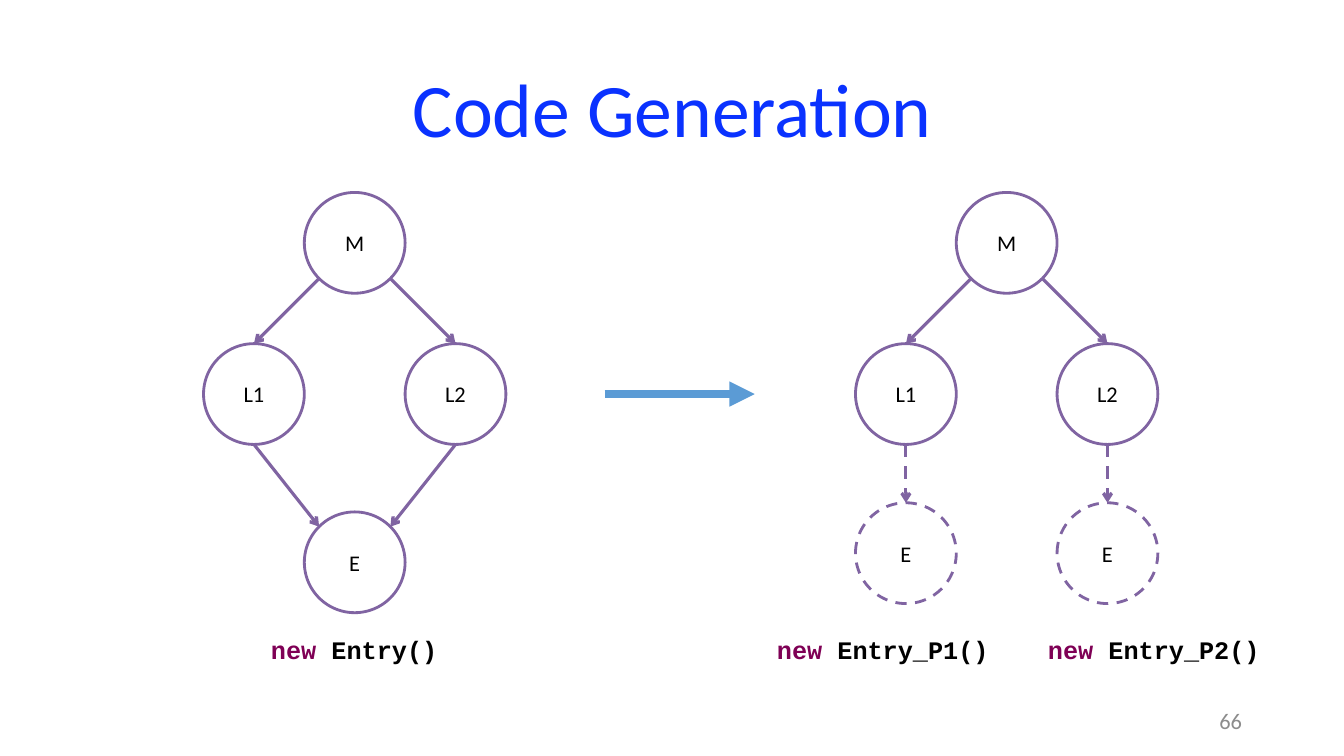
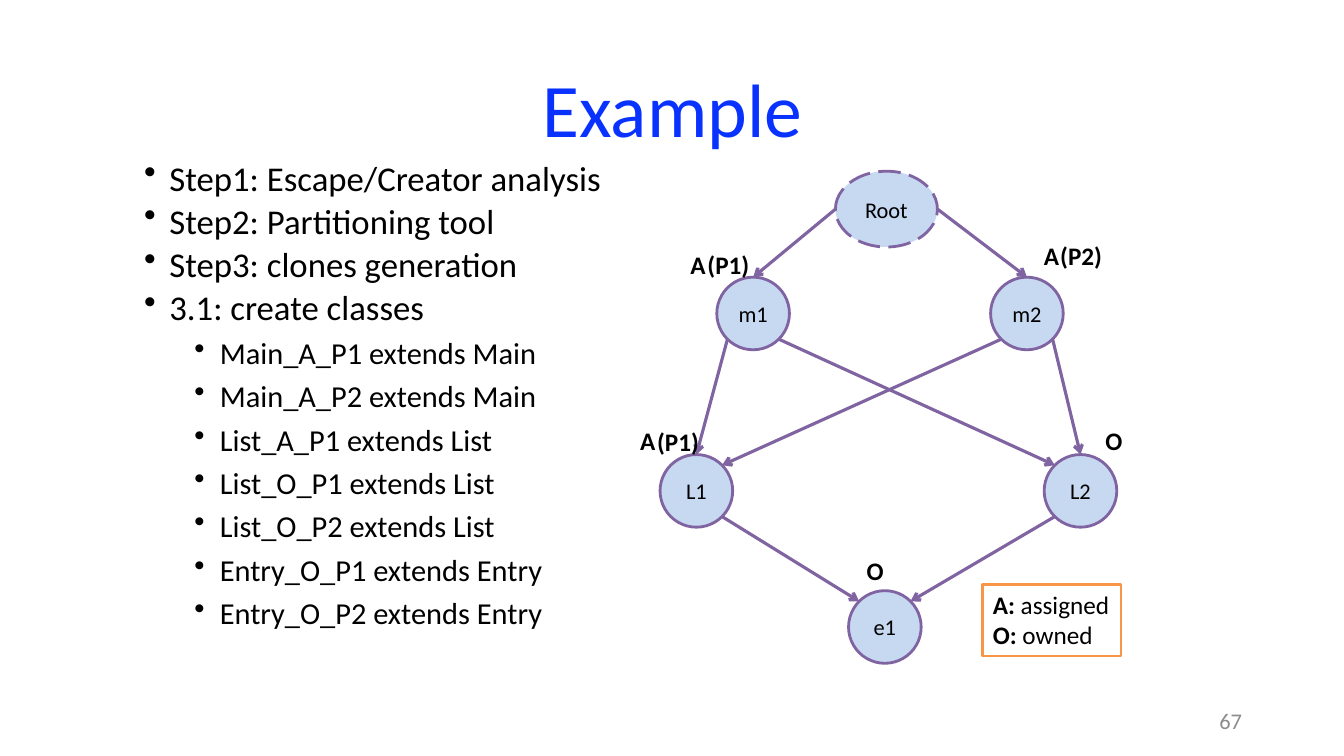
"""Build two slides on code generation and class cloning for a partitioned program."""
from dataclasses import dataclass
from math import cos, radians, sin

from lxml import etree
from pptx import Presentation
from pptx.dml.color import RGBColor
from pptx.enum.dml import MSO_LINE
from pptx.enum.shapes import MSO_CONNECTOR, MSO_SHAPE
from pptx.enum.text import MSO_ANCHOR, PP_ALIGN
from pptx.oxml.ns import qn
from pptx.util import Cm, Pt

OVAL, RECTANGLE = MSO_SHAPE.OVAL, MSO_SHAPE.RECTANGLE
STRAIGHT = MSO_CONNECTOR.STRAIGHT
DASH, LONG_DASH = MSO_LINE.DASH, MSO_LINE.LONG_DASH
LEFT, CENTER, RIGHT = PP_ALIGN.LEFT, PP_ALIGN.CENTER, PP_ALIGN.RIGHT
TOP, MIDDLE = MSO_ANCHOR.TOP, MSO_ANCHOR.MIDDLE


@dataclass(frozen=True)
class Theme:
    font: str = "Calibri"
    code_font: str = "Courier New"
    title: str = "0A32FF"
    text: str = "000000"
    number: str = "8C8C8C"
    keyword: str = "7F0055"
    graph: str = "8064A2"
    step: str = "5B9BD5"
    legend: str = "F79646"
    white: str = "FFFFFF"
    node: str = "C6D9F1"
    title_size: float = 54
    body_size: float = 24.8
    sub_size: float = 21.7
    label_size: float = 18
    small_size: float = 16
    outline: float = 2
    arrow: float = 2.25
    step_arrow: float = 6


theme = Theme()


def add_text(slide, text, box, *, size=theme.label_size, color=theme.text, font=theme.font,
             bold=False, align=LEFT, anchor=TOP, wrap=True, kind=None, fill=theme.white,
             outline=theme.graph, dash=None):
    left, top, width, height = (Cm(length) for length in box)
    if kind is None:
        shape = slide.shapes.add_textbox(left, top, width, height)
    else:
        shape = slide.shapes.add_shape(kind, left, top, width, height)
        shape.shadow.inherit = False
        shape.fill.solid()
        shape.fill.fore_color.rgb = RGBColor.from_string(fill)
        shape.line.color.rgb = RGBColor.from_string(outline)
        shape.line.width = Pt(theme.outline)
        if dash:
            shape.line.dash_style = dash
    frame = shape.text_frame
    frame.word_wrap = wrap
    frame.vertical_anchor = anchor
    lines = [[(text, {})]] if isinstance(text, str) else text
    for index, runs in enumerate(lines):
        paragraph = frame.add_paragraph() if index else frame.paragraphs[0]
        paragraph.alignment = align
        for words, changes in runs:
            run = paragraph.add_run()
            run.text = words
            run.font.name = font
            run.font.size = Pt(changes.get("size", size))
            run.font.bold = changes.get("bold", bold)
            run.font.color.rgb = RGBColor.from_string(changes.get("color", color))
    return shape


def add_arrow(slide, start, end, color=theme.graph, width=theme.arrow, dash=None, head="arrow"):
    connector = slide.shapes.add_connector(STRAIGHT, *(Cm(value) for value in (*start, *end)))
    connector.line.color.rgb = RGBColor.from_string(color)
    connector.line.width = Pt(width)
    if dash:
        connector.line.dash_style = dash
    properties = connector.element.spPr
    etree.SubElement(properties.find(qn("a:ln")), qn("a:tailEnd"), type=head)
    etree.SubElement(properties, qn("a:effectLst"))
    return connector


presentation = Presentation()
presentation.slide_width, presentation.slide_height = Cm(33.87), Cm(19.05)
blank = presentation.slide_layouts[6]

slides = []
for title, number in (("Code Generation", "66"), ("Example", "67")):
    slide = presentation.slides.add_slide(blank)
    heading = add_text(slide, title, (2.34, 1.02, 29.21, 3.68), size=theme.title_size,
                       color=theme.title, align=CENTER, anchor=MIDDLE)
    heading.text_frame.paragraphs[0].line_spacing = 0.9
    add_text(slide, number, (23.93, 17.65, 7.62, 1.02), size=theme.small_size,
             color=theme.number, align=RIGHT, anchor=MIDDLE)
    slides.append(slide)
generation, example = slides

# Nodes: name, label, centre x, centre y, width, height, dash. Links: node and site at each end.
big, small, middle, right = 2.54, 1.83, 8.94, 25.37
graphs = (
    (generation, theme.white,
     (("M", "M", middle, 6.12, big, big, None),
      ("L1", "L1", middle - big, 9.93, big, big, None),
      ("L2", "L2", middle + big, 9.93, big, big, None),
      ("E", "E", middle, 14.17, big, big, None)),
     (("M", 3, "L1", 0, None), ("M", 5, "L2", 0, None),
      ("L1", 4, "E", 1, None), ("L2", 4, "E", 7, None))),
    (generation, theme.white,
     (("M", "M", right, 6.12, big, big, None),
      ("L1", "L1", right - big, 9.93, big, big, None),
      ("L2", "L2", right + big, 9.93, big, big, None),
      ("E1", "E", right - big, 13.94, big, big, DASH),
      ("E2", "E", right + big, 13.94, big, big, DASH)),
     (("M", 3, "L1", 0, None), ("M", 5, "L2", 0, None),
      ("L1", 4, "E1", 0, DASH), ("L2", 4, "E2", 0, DASH))),
    (example, theme.node,
     (("Root", "Root", 22.34, 5.27, 2.57, 1.91, LONG_DASH),
      ("m1", "m1", 18.98, 7.9, small, small, None),
      ("m2", "m2", 25.88, 7.9, small, small, None),
      ("L1", "L1", 17.55, 12.37, small, small, None),
      ("L2", "L2", 27.23, 12.37, small, small, None),
      ("e1", "e1", 22.3, 15.8, small, small, None)),
     (("Root", 2, "m1", 0, None), ("Root", 6, "m2", 0, None),
      ("m1", 3, "L1", 0, None), ("m1", 5, "L2", 1, None),
      ("m2", 3, "L1", 7, None), ("m2", 5, "L2", 0, None),
      ("L1", 5, "e1", 1, None), ("L2", 3, "e1", 7, None))),
)
for slide, fill, nodes, links in graphs:
    ovals, sites = {}, {}
    for name, label, x, y, width, height, dash in nodes:
        ovals[name] = add_text(slide, label, (x - width / 2, y - height / 2, width, height),
                               size=theme.small_size, align=CENTER, anchor=MIDDLE, wrap=False,
                               kind=OVAL, fill=fill, dash=dash)
        for site in range(8):
            angle = radians(90 + 45 * site)
            sites[name, site] = (x + width / 2 * cos(angle), y - height / 2 * sin(angle))
    for source, source_site, target, target_site, dash in links:
        connector = add_arrow(slide, sites[source, source_site], sites[target, target_site],
                              dash=dash)
        joints = connector.element.find(".//" + qn("p:cNvCxnSpPr"))
        for tag, name, site in (("a:stCxn", source, source_site),
                                ("a:endCxn", target, target_site)):
            etree.SubElement(joints, qn(tag), id=str(ovals[name].shape_id), idx=str(site))

add_arrow(generation, (15.24, 9.93), (19.02, 9.93), color=theme.step,
          width=theme.step_arrow, head="triangle")
for call, left, width in (("Entry()", 6.58, 4.72), ("Entry_P1()", 19.33, 5.87),
                          ("Entry_P2()", 26.16, 5.87)):
    add_text(generation, [[("new ", {"color": theme.keyword}), (call, {})]],
             (left, 15.85, width, 1.02), font=theme.code_font, bold=True, wrap=False)

steps = ("Step1: Escape/Creator analysis", "Step2: Partitioning tool",
         "Step3: clones generation", "3.1: create classes")
classes = ("Main_A_P1 extends Main", "Main_A_P2 extends Main", "List_A_P1 extends List",
           "List_O_P1 extends List", "List_O_P2 extends List", "Entry_O_P1 extends Entry",
           "Entry_O_P2 extends Entry")
outline = [[(step, {"size": theme.body_size})] for step in steps]
outline += [[(name, {"size": theme.sub_size})] for name in classes]
body = add_text(example, outline, (3.38, 4.11, 22.86, 12.57))
for index, paragraph in enumerate(body.text_frame.paragraphs):
    is_step = index < len(steps)
    properties = paragraph._p.get_or_add_pPr()
    properties.set("marL", str(Cm(0.64 if is_step else 1.91)))
    properties.set("indent", str(Cm(-0.64)))
    etree.SubElement(properties, qn("a:buChar"), char="•")
    paragraph.level = 0 if is_step else 1
    paragraph.line_spacing = 0.7 if is_step else 1.0
    if index:
        paragraph.space_before = Pt(10 if is_step else 5)

add_text(example, [[("A: ", {"bold": True}), ("assigned", {})],
                   [("O: ", {"bold": True}), ("owned", {})]],
         (24.77, 14.73, 3.48, 1.8), wrap=False, kind=RECTANGLE, outline=theme.legend)
for mark, left, top in (("A", 26.06, 5.94), ("A", 17.15, 6.15), ("A", 15.88, 10.59),
                        ("O", 27.61, 10.59), ("O", 21.59, 13.87), ("(P1)", 17.58, 6.17),
                        ("(P2)", 26.47, 5.92), ("(P1)", 16.31, 10.62)):
    add_text(example, mark, (left, top, 0.74 if len(mark) == 1 else 1.91, 1.02), bold=True)

presentation.save("out.pptx")
